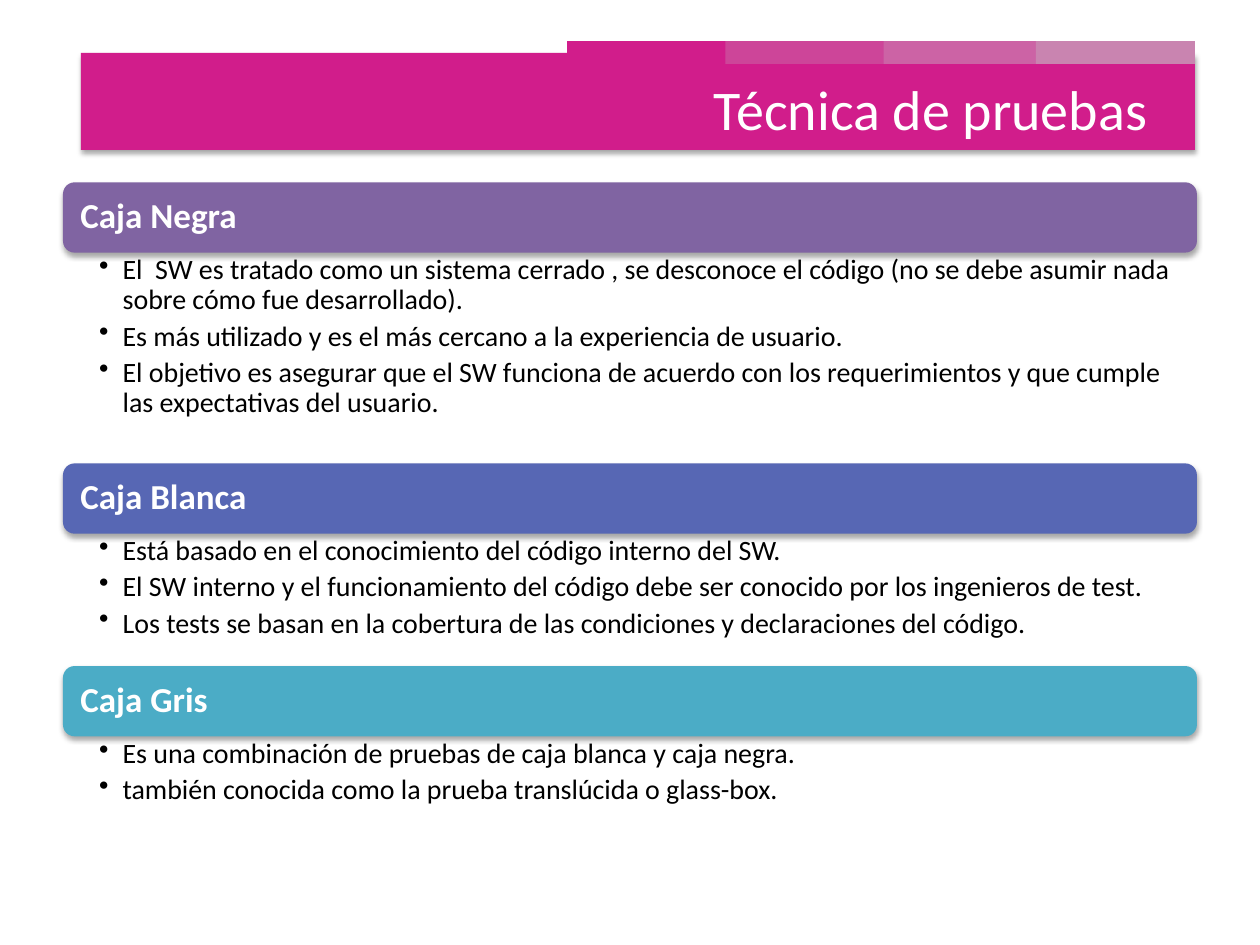
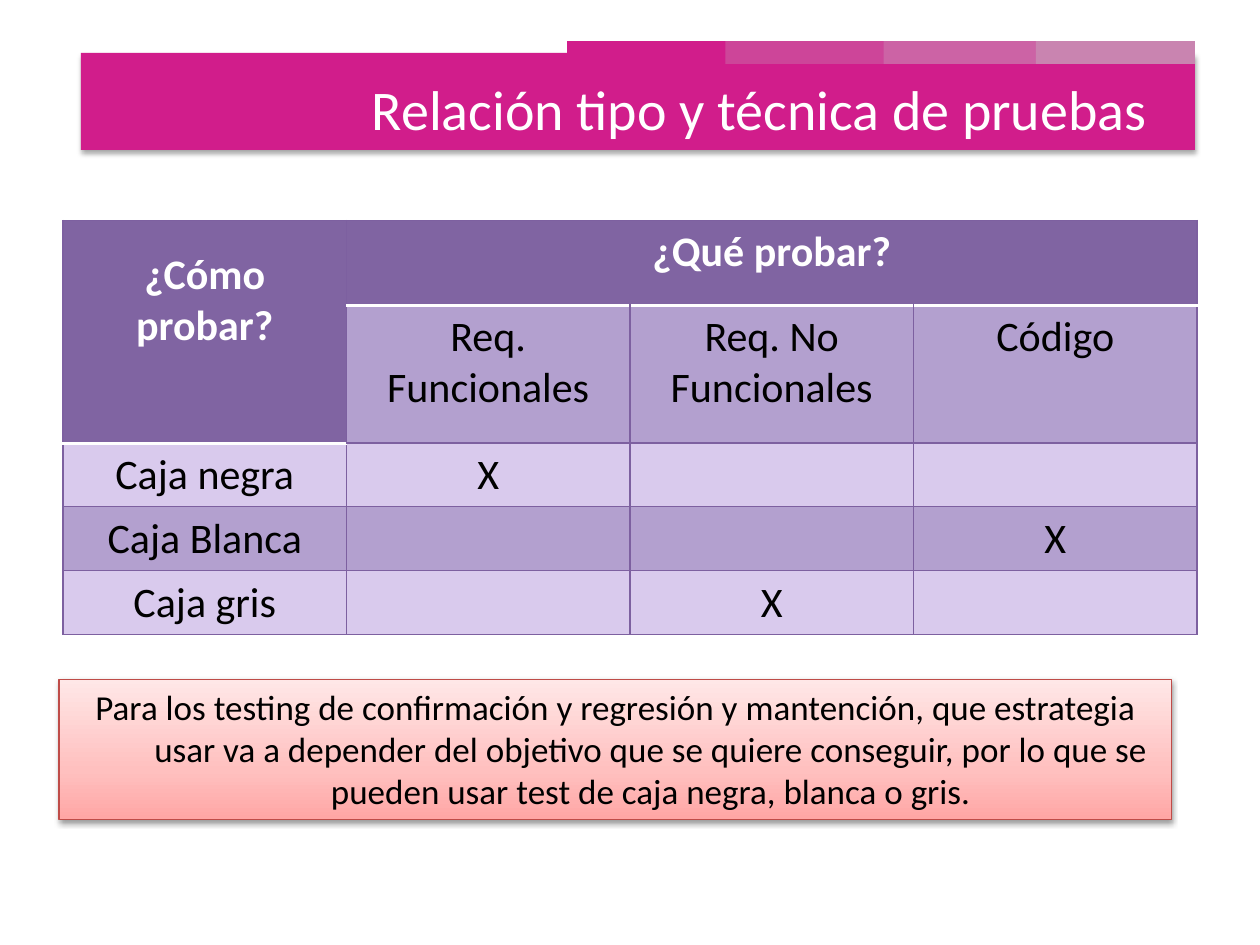
from copy import deepcopy

from lxml import etree
from pptx import Presentation
from pptx.dml.color import RGBColor
from pptx.enum.shapes import MSO_SHAPE
from pptx.enum.text import MSO_ANCHOR, MSO_AUTO_SIZE, PP_ALIGN
from pptx.oxml import parse_xml
from pptx.oxml.ns import nsdecls, qn
from pptx.util import Pt

RECTANGLE = MSO_SHAPE.RECTANGLE
ROUNDED = MSO_SHAPE.ROUNDED_RECTANGLE
TOP, MIDDLE = MSO_ANCHOR.TOP, MSO_ANCHOR.MIDDLE
LEFT, CENTER, RIGHT = PP_ALIGN.LEFT, PP_ALIGN.CENTER, PP_ALIGN.RIGHT
NO_AUTOSIZE = MSO_AUTO_SIZE.NONE

FONT = "Calibri"
WHITE, BLACK = "FFFFFF", "000000"
MAGENTA, PURPLE, BORDER = "D11D8B", "8064A2", "7D60A0"
LIGHT_ROW, DARK_ROW = "D9CAED", "B3A0CF"
STRIPS = [(324, MAGENTA), (414.5, "CD4599"), (505, "CC63A5"), (592, "C984B0")]
NOTE_STOPS = [(0, "FFA6A5"), (0.35, "FFC0BF"), (1, "FFE7E7")]
BAR_HEIGHT = 40.2

SECTIONS = [
    ("Caja Negra", PURPLE, 120.4, [
        "El  SW es tratado como un sistema cerrado , se desconoce el código "
        "(no se debe asumir nada sobre cómo fue desarrollado).",
        "Es más utilizado y es el más cercano a la experiencia de usuario.",
        "El objetivo es asegurar que el SW funciona de acuerdo con los "
        "requerimientos y que cumple las expectativas del usuario.",
    ]),
    ("Caja Blanca", "5767B4", 75.6, [
        "Está basado en el conocimiento del código interno del SW.",
        "El SW interno y el funcionamiento del código debe ser conocido por los ingenieros de test.",
        "Los tests se basan en la cobertura de las condiciones y declaraciones del código.",
    ]),
    ("Caja Gris", "4BACC6", 75.6, [
        "Es una combinación de pruebas de caja blanca y caja negra.",
        "también conocida como la prueba translúcida o glass-box.",
    ]),
]
TABLE_ROWS = [
    ["¿Cómo probar?", "¿Qué probar?", "", ""],
    ["", "Req. Funcionales", "Req. No Funcionales", "Código"],
    ["Caja negra", "X", "", ""],
    ["Caja Blanca", "", "", "X"],
    ["Caja gris", "", "X", ""],
]
ROW_HEIGHTS = [48.6, 77.7, 36, 36, 36]
NOTE = ("Para los testing de confirmación y regresión y mantención, que estrategia "
        "usar va a depender del objetivo que se quiere conseguir, por lo que se "
        "pueden usar test de caja negra, blanca o gris.")


def color(hex_string):
    return RGBColor.from_string(hex_string)


def add_text(paragraph, text, size, hex_string, bold=False, align=LEFT):
    paragraph.alignment = align
    run = paragraph.add_run()
    run.text = text
    run.font.name = FONT
    run.font.size = Pt(size)
    run.font.bold = bold
    run.font.color.rgb = color(hex_string)


def set_frame(frame, left=7.2, top=3.6, right=7.2, bottom=3.6, anchor=TOP):
    frame.word_wrap = True
    frame.auto_size = NO_AUTOSIZE
    frame.vertical_anchor = anchor
    frame.margin_left, frame.margin_top = Pt(left), Pt(top)
    frame.margin_right, frame.margin_bottom = Pt(right), Pt(bottom)


def set_indent(paragraph, points):
    properties = paragraph._p.get_or_add_pPr()
    properties.set("marL", str(Pt(points)))
    properties.set("indent", str(-Pt(points)))
    return properties


def add_shadow(shape, distance=1.8, opacity=35):
    effects = shape._element.spPr.find(qn("a:effectLst"))
    effects.append(parse_xml(
        f'<a:outerShdw {nsdecls("a")} blurRad="{Pt(3.1)}" dist="{Pt(distance)}" '
        f'dir="5400000" rotWithShape="0"><a:srgbClr val="{BLACK}">'
        f'<a:alpha val="{opacity * 1000}"/></a:srgbClr></a:outerShdw>'))


def add_box(slide, kind, left, top, width, height, hex_string):
    shape = slide.shapes.add_shape(kind, Pt(left), Pt(top), Pt(width), Pt(height))
    shape.shadow.inherit = False
    shape.fill.solid()
    shape.fill.fore_color.rgb = color(hex_string)
    shape.line.fill.background()
    return shape


def add_titled_slide(presentation, text):
    slide = presentation.slides.add_slide(presentation.slide_layouts[5])
    add_shadow(add_box(slide, RECTANGLE, 46.3, 30.3, 636.5, 55.4, MAGENTA))
    for left, hex_string in STRIPS:
        add_box(slide, RECTANGLE, left, 23.5, 90.8, 13, hex_string)
    title = slide.shapes.title
    title.left, title.top, title.width, title.height = Pt(150), Pt(39), Pt(513), Pt(46)
    set_frame(title.text_frame)
    add_text(title.text_frame.paragraphs[0], text, 32, WHITE, align=RIGHT)
    slide.shapes._spTree.append(title._element)
    return slide


def add_bullets(slide, top, height, items):
    box = slide.shapes.add_textbox(Pt(36), Pt(top), Pt(648), Pt(height))
    frame = box.text_frame
    set_frame(frame, 20.6, 1.6, 8.6, 1.6)
    for index, item in enumerate(items):
        paragraph = frame.add_paragraph() if index else frame.paragraphs[0]
        properties = set_indent(paragraph, 13.5)
        etree.SubElement(properties, qn("a:buChar")).set("char", "•")
        paragraph.line_spacing = 0.9
        paragraph.space_after = Pt(3.4)
        add_text(paragraph, item, 16, BLACK)


def add_section(slide, top, heading, hex_string, body_height, items):
    bar = add_box(slide, ROUNDED, 36, top, 648, BAR_HEIGHT, hex_string)
    add_shadow(bar)
    set_frame(bar.text_frame, left=8, anchor=MIDDLE)
    paragraph = bar.text_frame.paragraphs[0]
    paragraph.line_spacing = 0.9
    add_text(paragraph, heading, 20, WHITE, bold=True)
    add_bullets(slide, top + BAR_HEIGHT, body_height, items)


def set_borders(cell, white_top, white_bottom):
    properties = cell._tc.get_or_add_tcPr()
    white_sides = {"T": white_top, "B": white_bottom}
    for position, side in enumerate("LRTB"):
        is_white = white_sides.get(side, False)
        hex_string, width = (WHITE, 2) if is_white else (BORDER, 0.75)
        properties.insert(position, parse_xml(
            f'<a:ln{side} {nsdecls("a")} w="{Pt(width)}"><a:solidFill>'
            f'<a:srgbClr val="{hex_string}"/></a:solidFill></a:ln{side}>'))


def is_header(row, column):
    return row == 0 or (row == 1 and column == 0)


def add_matrix(slide):
    frame = slide.shapes.add_table(len(TABLE_ROWS), 4, Pt(36), Pt(126),
                                   Pt(648), Pt(sum(ROW_HEIGHTS)))
    table = frame.table
    for row, texts in enumerate(TABLE_ROWS):
        table.rows[row].height = Pt(ROW_HEIGHTS[row])
        for column, text in enumerate(texts):
            cell = table.cell(row, column)
            header = is_header(row, column)
            body_fill = DARK_ROW if row % 2 else LIGHT_ROW
            cell.fill.solid()
            cell.fill.fore_color.rgb = color(PURPLE if header else body_fill)
            set_borders(cell, not header and is_header(row - 1, column), header)
            if text:
                add_text(cell.text_frame.paragraphs[0], text, 24,
                         WHITE if header else BLACK, header, CENTER)
    table.cell(0, 0).merge(table.cell(1, 0))
    table.cell(0, 1).merge(table.cell(0, 3))
    table.cell(0, 0).margin_top = Pt(16.4)


def add_note(slide):
    note = add_box(slide, RECTANGLE, 33.8, 388.2, 635.8, 80, WHITE)
    note.fill.gradient()
    note.fill.gradient_angle = 90
    stop_list = note._element.spPr.find(qn("a:gradFill")).find(qn("a:gsLst"))
    stop_list.append(deepcopy(stop_list[0]))
    for stop, (position, hex_string) in zip(note.fill.gradient_stops, NOTE_STOPS):
        stop.position = position
        stop.color.rgb = color(hex_string)
    note.line.color.rgb = color("BF4C48")
    note.line.width = Pt(0.75)
    add_shadow(note, 1.6, 38)
    set_frame(note.text_frame)
    paragraph = note.text_frame.paragraphs[0]
    set_indent(paragraph, 40.5)
    add_text(paragraph, NOTE, 20, BLACK, align=CENTER)


def main():
    presentation = Presentation()
    presentation.slide_width, presentation.slide_height = Pt(720), Pt(540)

    techniques = add_titled_slide(presentation, "Técnica de pruebas")
    top = 104.2
    for heading, hex_string, body_height, items in SECTIONS:
        add_section(techniques, top, heading, hex_string, body_height, items)
        top += BAR_HEIGHT + body_height

    relation = add_titled_slide(presentation, "Relación tipo y técnica de pruebas")
    add_matrix(relation)
    add_note(relation)

    presentation.save("out.pptx")


if __name__ == "__main__":
    main()
